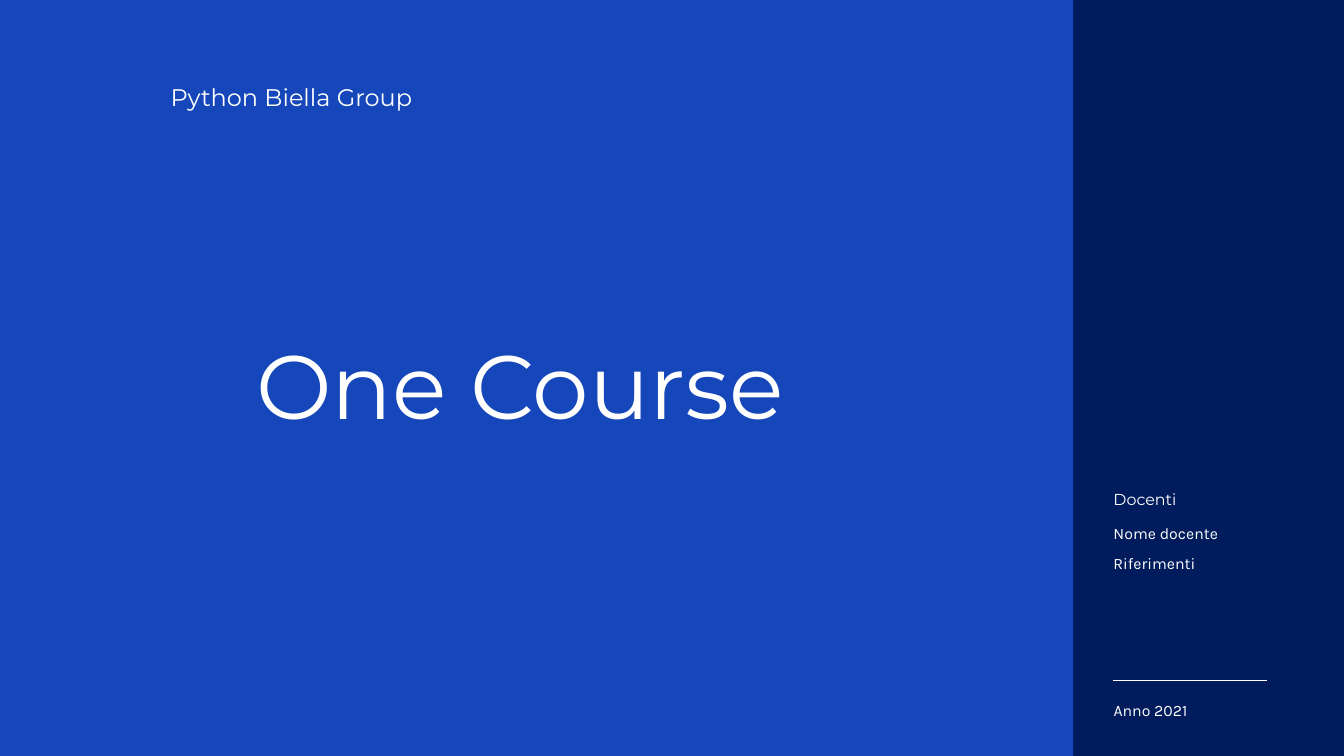
"""Build the opening slide of a course deck."""
from dataclasses import dataclass

from lxml.etree import SubElement
from pptx import Presentation
from pptx.dml.color import RGBColor
from pptx.enum.shapes import MSO_CONNECTOR, MSO_SHAPE
from pptx.enum.text import MSO_ANCHOR, MSO_AUTO_SIZE, PP_ALIGN
from pptx.oxml.ns import qn
from pptx.slide import Slide
from pptx.util import Inches, Pt

COLORS = {"navy": "011C5D", "blue": "1546BA", "white": "FFFFFF"}
WIDTH, HEIGHT = 20, 11.25
SIDEBAR_LEFT = 16.57


@dataclass
class CoverStyle:
    page: Slide
    heading_font: str = "Montserrat"
    body_font: str = "Karla"

    def color(self, name):
        return RGBColor.from_string(COLORS[name])

    def background(self, name):
        fill = self.page.background.fill
        fill.solid()
        fill.fore_color.rgb = self.color(name)

    def panel(self, left, top, width, height, name):
        panel = self.page.shapes.add_shape(
            MSO_SHAPE.RECTANGLE, Inches(left), Inches(top), Inches(width), Inches(height))
        panel.shadow.inherit = False
        panel.fill.solid()
        panel.fill.fore_color.rgb = self.color(name)
        panel.line.fill.background()

    def rule(self, left, top, width):
        rule = self.page.shapes.add_connector(
            MSO_CONNECTOR.STRAIGHT, Inches(left), Inches(top), Inches(left + width), Inches(top))
        rule.line.color.rgb = self.color("white")
        rule.line.width = Pt(0.75)
        SubElement(rule._element.spPr, qn("a:effectLst"))

    def set_text(self, box, words, size, font, spacing):
        frame = box.text_frame
        frame.word_wrap = True
        frame.auto_size = MSO_AUTO_SIZE.NONE
        frame.vertical_anchor = MSO_ANCHOR.TOP
        frame.margin_left = frame.margin_right = frame.margin_top = frame.margin_bottom = 0
        paragraph = frame.paragraphs[0]
        paragraph.alignment = PP_ALIGN.LEFT
        paragraph.line_spacing = Pt(spacing)
        span = paragraph.add_run()
        span.text = words
        span.font.name = font
        span.font.size = Pt(size)
        span.font.color.rgb = self.color("white")

    def title(self, words, left, top, width, height, size):
        box = self.page.shapes.title
        box.left, box.top = Inches(left), Inches(top)
        box.width, box.height = Inches(width), Inches(height)
        self.page.shapes._spTree.append(box._element)
        self.set_text(box, words, size, self.heading_font, size)

    def text(self, words, left, top, width, height, size, font, spacing=None):
        box = self.page.shapes.add_textbox(
            Inches(left), Inches(top), Inches(width), Inches(height))
        self.set_text(box, words, size, font, spacing or size)


def main():
    deck = Presentation()
    deck.slide_width, deck.slide_height = Inches(WIDTH), Inches(HEIGHT)
    cover = CoverStyle(deck.slides.add_slide(deck.slide_layouts[5]))
    heading, body = cover.heading_font, cover.body_font

    cover.background("navy")
    cover.panel(0, 0, 15.97, HEIGHT, "blue")
    cover.rule(SIDEBAR_LEFT, 10.13, 2.28)

    cover.text("Python Biella Group", 2.54, 1.3, 3.77, 0.37, 25.7, heading)
    cover.title("One Course", 3.81, 5.17, 9.84, 1.35, 96.4)

    cover.text("Docenti", SIDEBAR_LEFT, 7.33, 1.26, 0.25, 17, heading)
    for row, words in enumerate(("Nome docente", "Riferimenti")):
        cover.text(words, SIDEBAR_LEFT, 7.84 + 0.45 * row, 2.76, 0.25, 17, body)
    cover.text("Anno 2021", SIDEBAR_LEFT, 10.38, 2.28, 0.31, 17, body, 23.8)

    deck.save("out.pptx")


if __name__ == "__main__":
    main()
